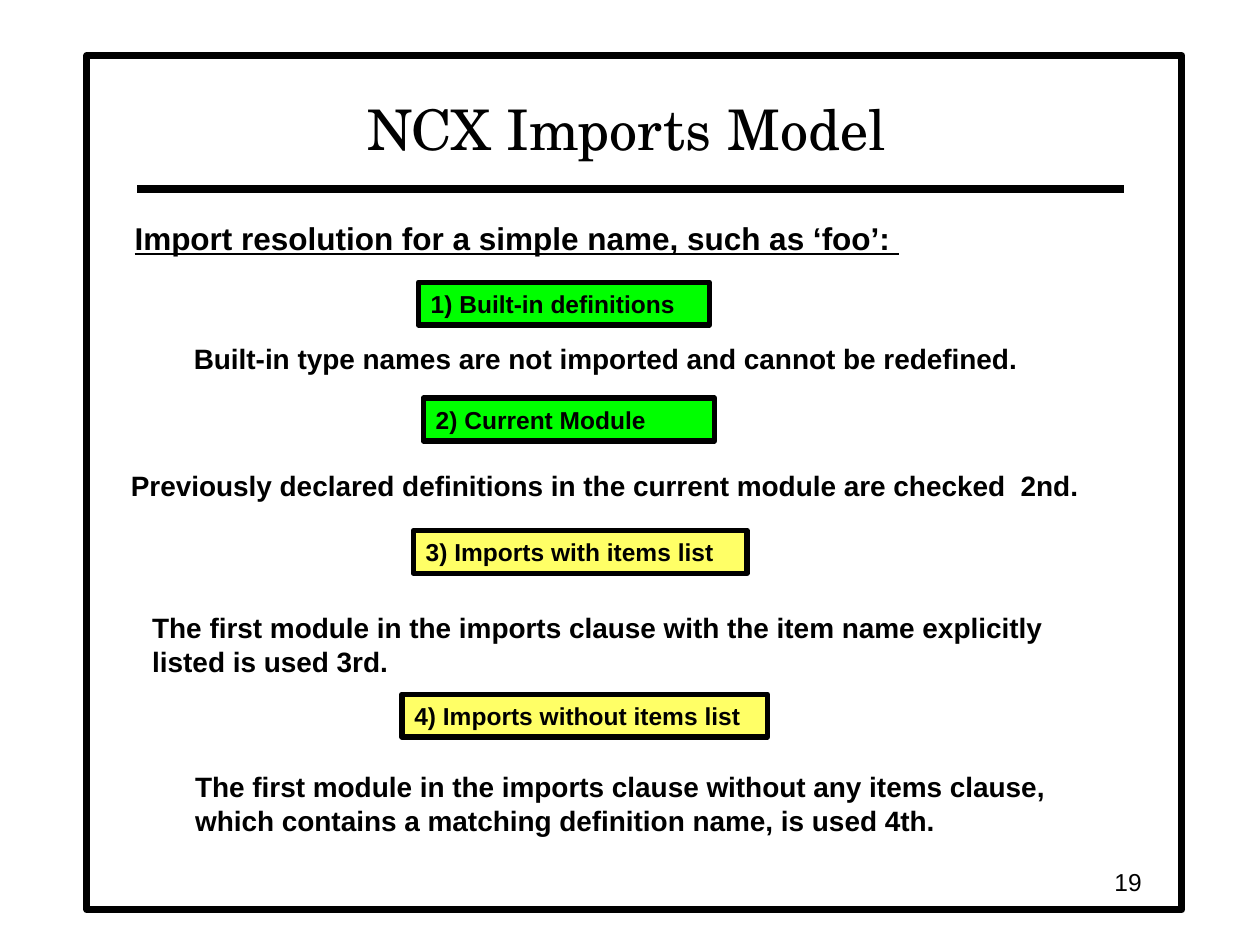
from pptx import Presentation
from pptx.dml.color import RGBColor
from pptx.enum.shapes import MSO_CONNECTOR as Conn, MSO_SHAPE as Shape
from pptx.enum.text import MSO_ANCHOR as Anchor, PP_ALIGN as Align
from pptx.oxml.ns import qn
from pptx.util import Inches, Pt
from lxml.etree import SubElement

HUES = {"ink": "000000", "paper": "FFFFFF", "green": "00FF00", "yellow": "FFFF66"}


def hue(name):
    return RGBColor.from_string(HUES[name])


def write(shape, text, size, bold=True, font="Arial", align=Align.LEFT,
          anchor=Anchor.TOP, wrap=False):
    """Set the text of a shape, one run for each line."""
    frame = shape.text_frame
    frame.word_wrap = wrap
    frame.vertical_anchor = anchor
    para = frame.paragraphs[0]
    para.alignment = align
    for i, line in enumerate(text.split("\n")):
        if i:
            para.add_line_break()
        run = para.add_run()
        run.text = line
        run.font.name = font
        run.font.size = Pt(size)
        run.font.bold = bold
        run.font.color.rgb = hue("ink")
    return para


deck = Presentation()
deck.slide_width, deck.slide_height = Inches(10), Inches(7.5)
slide = deck.slides.add_slide(deck.slide_layouts[5])
shapes = slide.shapes
title = shapes.title

# Frame, rule and title
border = shapes.add_shape(Shape.RECTANGLE, Inches(0.69), Inches(0.44),
                          Inches(8.69), Inches(6.78))
border.shadow.inherit = False
border.fill.solid()
border.fill.fore_color.rgb = hue("paper")
border.line.color.rgb = hue("ink")
border.line.width = Pt(4)
title._element.addprevious(border._element)

rule = shapes.add_connector(Conn.STRAIGHT, Inches(1.09), Inches(1.5),
                            Inches(8.92), Inches(1.5))
rule.line.color.rgb = hue("ink")
rule.line.width = Pt(4.5)
SubElement(rule._element.spPr, qn("a:effectLst"))

title.left, title.top = Inches(1.08), Inches(0.58)
title.width, title.height = Inches(7.79), Inches(0.75)
write(title, "NCX Imports Model", 32, bold=False, font="TeX Gyre Schola",
      align=Align.CENTER, anchor=Anchor.BOTTOM, wrap=True)

# Lead line
lead = shapes.add_textbox(Inches(0.97), Inches(1.69), Inches(6.27), Inches(0.4))
para = write(lead, "Import resolution for a simple name, such as ‘foo’: ", 18)
para.runs[0].font.underline = True

# Steps: label, left, top, width, fill
steps = [
    ("1) Built-in definitions", 3.32, 2.24, 2.31, "green"),
    ("2) Current Module", 3.36, 3.16, 2.31, "green"),
    ("3) Imports with items list", 3.28, 4.21, 2.65, "yellow"),
    ("4) Imports without items list", 3.19, 5.51, 2.9, "yellow"),
]
for label, left, top, width, fill in steps:
    box = shapes.add_shape(Shape.RECTANGLE, Inches(left), Inches(top),
                           Inches(width), Inches(0.34))
    box.shadow.inherit = False
    box.fill.solid()
    box.fill.fore_color.rgb = hue(fill)
    box.line.color.rgb = hue("ink")
    box.line.width = Pt(3)
    write(box, label, 14, anchor=Anchor.MIDDLE, wrap=True)

# Notes under the steps: text, left, top, width, height
notes = [
    ("Built-in type names are not imported and cannot be redefined.",
     1.44, 2.66, 6.74, 0.37),
    ("Previously declared definitions in the current module are checked  2nd.",
     0.94, 3.67, 7.79, 0.37),
    ("The first module in the imports clause with the item name explicitly \n"
     "listed is used 3rd.", 1.11, 4.8, 7.33, 0.64),
    ("The first module in the imports clause without any items clause,\n"
     "which contains a matching definition name, is used 4th.",
     1.45, 6.06, 6.95, 0.64),
]
for text, left, top, width, height in notes:
    note = shapes.add_textbox(Inches(left), Inches(top), Inches(width), Inches(height))
    write(note, text, 16)

# Page number
page = shapes.add_textbox(Inches(7.08), Inches(6.83), Inches(2.08), Inches(0.33))
write(page, "19", 14, bold=False, align=Align.RIGHT, anchor=Anchor.MIDDLE, wrap=True)

deck.save("out.pptx")
